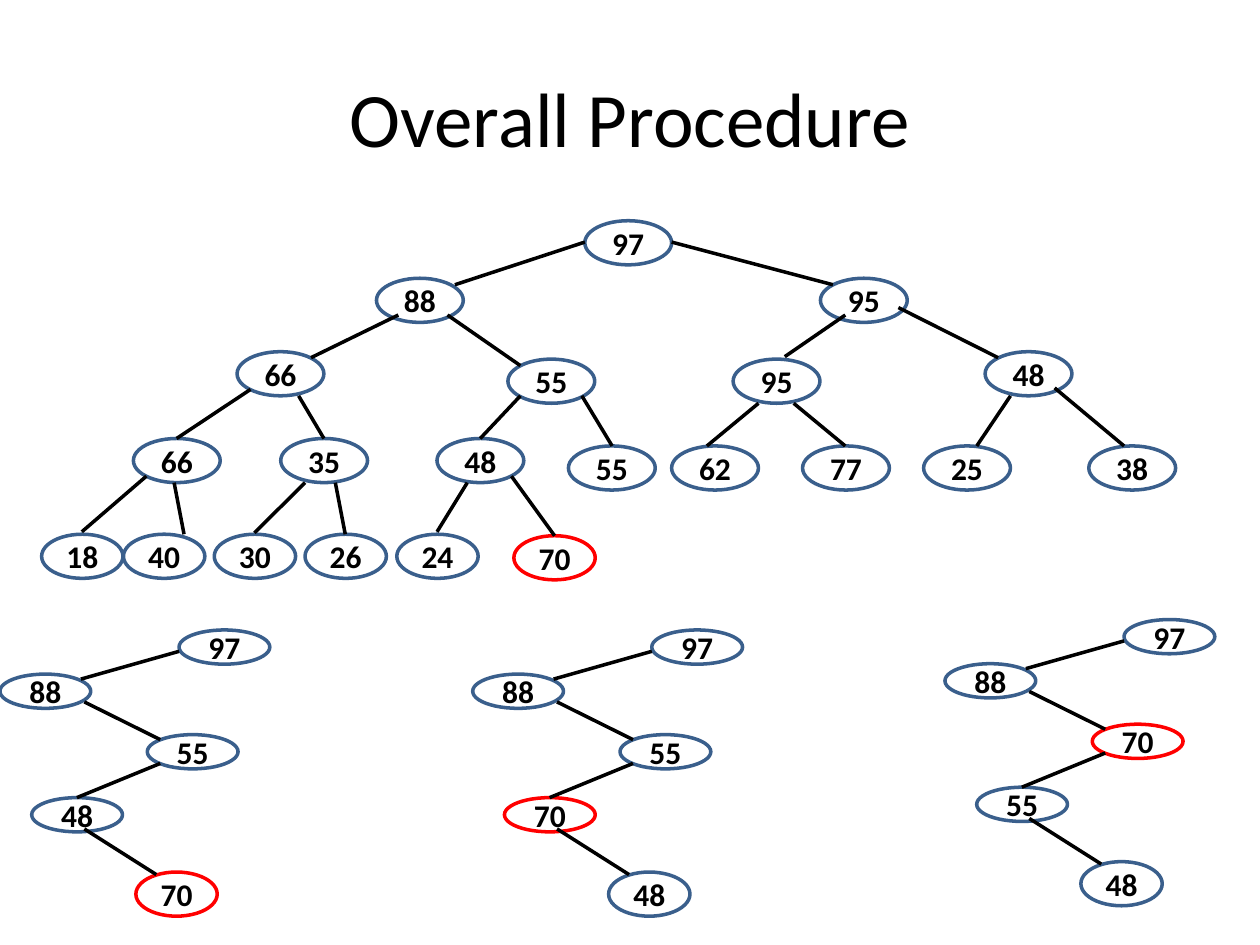
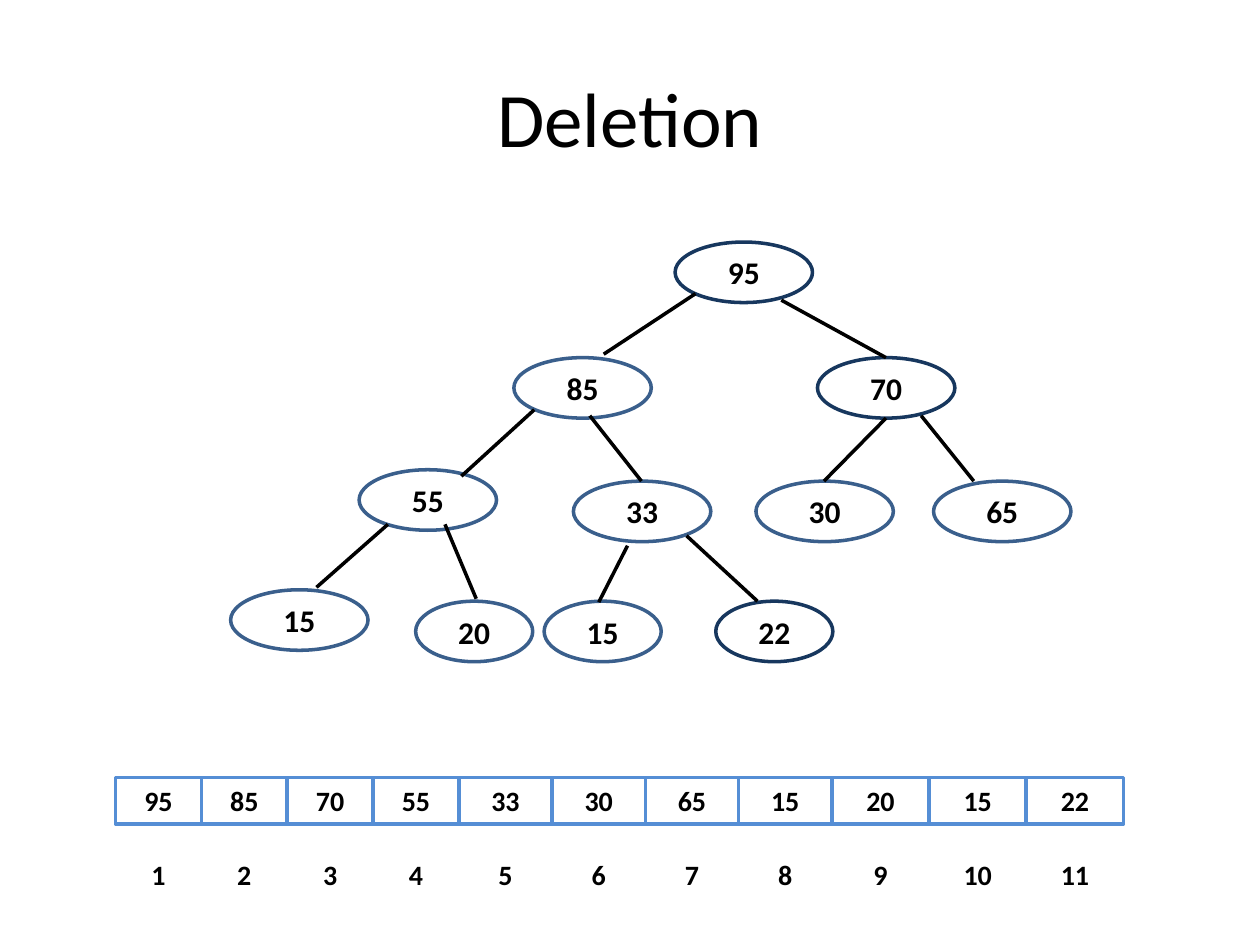
import dataclasses
import itertools
import typing

import lxml.etree
import pptx
import pptx.dml.color
import pptx.enum.shapes
import pptx.enum.text
import pptx.oxml.ns
import pptx.slide
import pptx.util

Cm = pptx.util.Cm
RGBColor = pptx.dml.color.RGBColor
Shape = pptx.enum.shapes.MSO_SHAPE

BLACK = RGBColor(0x00, 0x00, 0x00)
WHITE = RGBColor(0xFF, 0xFF, 0xFF)
STEEL = RGBColor(0x3A, 0x5F, 0x8C)
NAVY = RGBColor(0x17, 0x37, 0x5E)
SKY = RGBColor(0x55, 0x8E, 0xD5)
RED = RGBColor(0xFF, 0x00, 0x00)

LINE_WIDTH = pptx.util.Pt(2)
FRAME_FORMAT = {
    "margin_left": 0,
    "margin_right": 0,
    "margin_top": 0,
    "margin_bottom": 0,
    "word_wrap": True,
    "vertical_anchor": pptx.enum.text.MSO_ANCHOR.MIDDLE,
}
TITLE_FONT = {"name": "Calibri", "size": pptx.util.Pt(44), "bold": False}
KEY_FONT = {"name": "Calibri", "size": pptx.util.Pt(18), "bold": True}
CELL_FONT = {"name": "Calibri", "size": pptx.util.Pt(16), "bold": True}


class Size(typing.NamedTuple):
    width: float
    height: float


class Edge(typing.NamedTuple):
    x1: float
    y1: float
    x2: float
    y2: float


@dataclasses.dataclass(frozen=True)
class Node:
    key: int
    left: float
    top: float
    size: Size
    color: RGBColor = STEEL


@dataclasses.dataclass(frozen=True)
class Path:
    keys: tuple[int, ...]
    left: float
    rise: float = 0


INNER = Size(1.75, 0.89)
LEAF = Size(1.64, 0.89)
FLAT = Size(1.83, 0.69)
WIDE = Size(2.77, 1.22)
WIDE_LEAF = Size(2.36, 1.22)

INSERTED_KEY = 70

HEAP_NODES = [
    Node(97, 11.79, 4.45, INNER),
    Node(88, 7.59, 5.61, INNER),
    Node(95, 16.54, 5.61, INNER),
    Node(66, 4.78, 7.09, INNER),
    Node(55, 10.24, 7.24, INNER),
    Node(95, 14.78, 7.24, INNER),
    Node(48, 19.86, 7.09, INNER),
    Node(66, 2.69, 8.84, INNER),
    Node(35, 5.66, 8.84, INNER),
    Node(48, 8.81, 8.84, INNER),
    Node(55, 11.46, 8.99, INNER),
    Node(62, 13.54, 8.99, INNER),
    Node(77, 16.18, 8.99, INNER),
    Node(25, 18.62, 8.99, INNER),
    Node(38, 21.95, 8.99, INNER),
    Node(18, 0.84, 10.77, LEAF),
    Node(40, 2.49, 10.77, LEAF),
    Node(30, 4.32, 10.77, LEAF),
    Node(26, 6.15, 10.77, LEAF),
    Node(24, 8, 10.77, LEAF),
    Node(INSERTED_KEY, 10.36, 10.8, LEAF, RED),
]
HEAP_EDGES = [
    Edge(9.17, 5.74, 11.79, 4.88),
    Edge(13.54, 4.88, 16.79, 5.74),
    Edge(6.27, 7.21, 8.03, 6.35),
    Edge(9.02, 6.35, 10.49, 7.37),
    Edge(15.82, 7.19, 17.04, 6.35),
    Edge(18.11, 6.2, 20.12, 7.21),
    Edge(3.56, 8.84, 5.05, 7.85),
    Edge(6.02, 7.98, 6.53, 8.84),
    Edge(9.68, 8.84, 10.49, 7.98),
    Edge(11.73, 7.98, 12.34, 8.99),
    Edge(14.25, 8.99, 15.29, 8.13),
    Edge(16, 8.13, 17.04, 8.99),
    Edge(19.69, 8.99, 20.37, 7.98),
    Edge(21.26, 7.82, 22.66, 8.99),
    Edge(1.65, 10.72, 2.95, 9.6),
    Edge(3.51, 9.73, 3.71, 10.77),
    Edge(5.13, 10.74, 6.15, 9.73),
    Edge(6.76, 9.73, 6.96, 10.77),
    Edge(8.81, 10.72, 9.42, 9.73),
    Edge(10.31, 9.6, 11.18, 10.8),
]

PATH_SPOTS = [
    (3.61, 12.7, FLAT),
    (0, 13.59, FLAT),
    (2.97, 14.81, FLAT),
    (0.64, 16.08, FLAT),
    (2.74, 17.58, LEAF),
]
PATH_EDGES = [
    Edge(1.63, 13.69, 3.61, 13.13),
    Edge(1.7, 14.15, 3.23, 14.91),
    Edge(1.55, 16.08, 3.23, 15.39),
    Edge(1.7, 16.71, 3.15, 17.63),
]
INSERTION_PATHS = [
    Path((97, 88, 55, 48, 70), 0),
    Path((97, 88, 55, 70, 48), 9.53),
    Path((97, 88, 70, 55, 48), 19.05, 0.21),
]

DELETION_NODES = [
    Node(95, 13.61, 4.88, WIDE, NAVY),
    Node(85, 10.36, 7.21, WIDE),
    Node(70, 16.48, 7.21, WIDE, NAVY),
    Node(55, 7.24, 9.47, WIDE),
    Node(33, 11.56, 9.7, WIDE),
    Node(30, 15.24, 9.7, WIDE),
    Node(65, 18.82, 9.7, WIDE),
    Node(15, 4.65, 11.89, WIDE),
    Node(20, 8.38, 12.12, WIDE_LEAF),
    Node(15, 10.97, 12.12, WIDE_LEAF),
    Node(22, 14.43, 12.12, WIDE_LEAF, NAVY),
]
DELETION_EDGES = [
    Edge(12.17, 7.14, 14.02, 5.92),
    Edge(15.75, 6.05, 17.86, 7.21),
    Edge(9.3, 9.6, 10.77, 8.26),
    Edge(11.89, 8.38, 12.93, 9.7),
    Edge(16.61, 9.7, 17.86, 8.43),
    Edge(18.57, 8.38, 19.63, 9.7),
    Edge(6.38, 11.84, 7.82, 10.57),
    Edge(8.97, 10.57, 9.6, 12.07),
    Edge(12.07, 12.14, 12.65, 11),
    Edge(13.84, 10.8, 15.27, 12.12),
]

ARRAY_LEFT = 2.33
ARRAY_TOP = 15.67
INDEX_TOP = 17.15
CELL_HEIGHT = 0.94
CELL_WIDTHS = [1.73] * 4 + [1.88] * 4 + [1.96] * 3


def write_centred(frame, text: str, font_format: dict) -> None:
    for attribute, value in FRAME_FORMAT.items():
        setattr(frame, attribute, value)
    paragraph = frame.paragraphs[0]
    paragraph.alignment = pptx.enum.text.PP_ALIGN.CENTER
    run = paragraph.add_run()
    run.text = text
    for attribute, value in font_format.items():
        setattr(run.font, attribute, value)
    run.font.color.rgb = BLACK


def add_titled_slide(deck, title: str) -> pptx.slide.Slide:
    slide = deck.slides.add_slide(deck.slide_layouts[6])
    heading = slide.shapes.add_textbox(Cm(1.27), Cm(0.76), Cm(22.86), Cm(3.18))
    write_centred(heading.text_frame, title, TITLE_FONT)
    return slide


def draw_outline(slide: pptx.slide.Slide, kind: Shape, node: Node, font_format: dict) -> None:
    outline = slide.shapes.add_shape(
        kind, Cm(node.left), Cm(node.top), Cm(node.size.width), Cm(node.size.height)
    )
    outline.shadow.inherit = False
    outline.fill.background()
    outline.line.color.rgb = node.color
    outline.line.width = LINE_WIDTH
    write_centred(outline.text_frame, str(node.key), font_format)


def draw_edge(slide: pptx.slide.Slide, edge: Edge) -> None:
    branch = slide.shapes.add_connector(
        pptx.enum.shapes.MSO_CONNECTOR.STRAIGHT, *(Cm(length) for length in edge)
    )
    branch.line.color.rgb = BLACK
    branch.line.width = LINE_WIDTH
    lxml.etree.SubElement(branch._element.spPr, pptx.oxml.ns.qn("a:effectLst"))


def draw_tree(slide: pptx.slide.Slide, nodes: list[Node], edges: list[Edge]) -> None:
    for node in nodes:
        draw_outline(slide, Shape.OVAL, node, KEY_FONT)
    for edge in edges:
        draw_edge(slide, edge)


def draw_path(slide: pptx.slide.Slide, path: Path) -> None:
    nodes = [
        Node(key, left + path.left, top - path.rise, size, RED if key == INSERTED_KEY else STEEL)
        for key, (left, top, size) in zip(path.keys, PATH_SPOTS)
    ]
    edges = [
        Edge(x1 + path.left, y1 - path.rise, x2 + path.left, y2 - path.rise)
        for x1, y1, x2, y2 in PATH_EDGES
    ]
    draw_tree(slide, nodes, edges)


def draw_cells(slide: pptx.slide.Slide, values: list[int], top: float, color: RGBColor) -> None:
    lefts = itertools.accumulate(CELL_WIDTHS, initial=ARRAY_LEFT)
    for value, left, width in zip(values, lefts, CELL_WIDTHS):
        cell = Node(value, left, top, Size(width, CELL_HEIGHT), color)
        draw_outline(slide, Shape.RECTANGLE, cell, CELL_FONT)


def main() -> None:
    deck = pptx.Presentation()
    deck.slide_width = Cm(25.4)
    deck.slide_height = Cm(19.05)

    procedure = add_titled_slide(deck, "Overall Procedure")
    draw_tree(procedure, HEAP_NODES, HEAP_EDGES)
    for path in INSERTION_PATHS:
        draw_path(procedure, path)

    deletion = add_titled_slide(deck, "Deletion")
    draw_tree(deletion, DELETION_NODES, DELETION_EDGES)
    keys = [node.key for node in DELETION_NODES]
    draw_cells(deletion, keys, ARRAY_TOP, SKY)
    draw_cells(deletion, list(range(1, len(keys) + 1)), INDEX_TOP, WHITE)

    deck.save("out.pptx")


if __name__ == "__main__":
    main()
